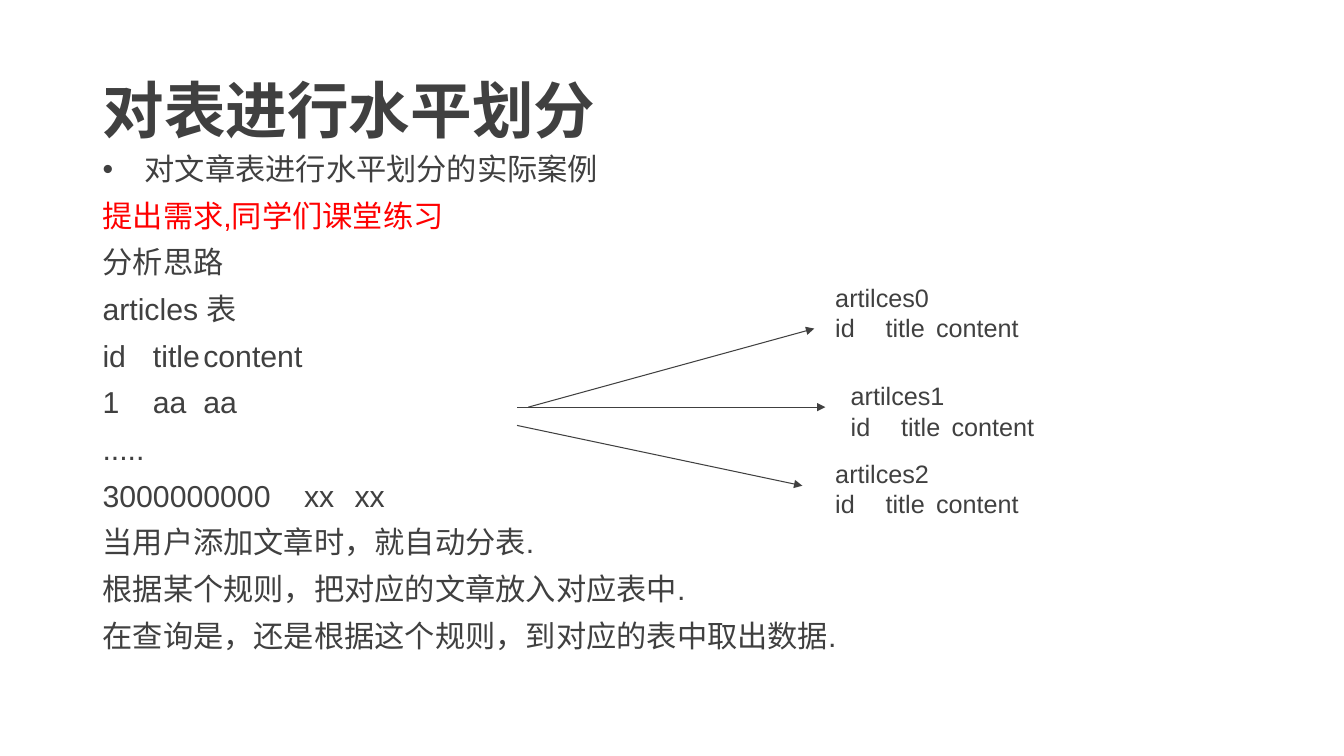
from lxml.etree import SubElement
from pptx import Presentation
from pptx.dml.color import RGBColor
from pptx.enum.shapes import MSO_CONNECTOR
from pptx.enum.text import MSO_ANCHOR, MSO_AUTO_SIZE, PP_ALIGN
from pptx.oxml.ns import qn
from pptx.util import Cm, Pt

DARK = "404040"
RED = "FF0000"
BULLET = "对文章表进行水平划分的实际案例"
BODY_LINES = [
    ("提出需求,同学们课堂练习", RED, []),
    ("分析思路", DARK, []),
    ("articles 表", DARK, []),
    ("id\ttitle\tcontent", DARK, [6.92, 8.54]),
    ("1\taa\taa", DARK, [6.96, 8.66]),
    (".....", DARK, []),
    ("3000000000\txx\txx", DARK, [6.77, 8.38]),
    ("当用户添加文章时，就自动分表.", DARK, []),
    ("根据某个规则，把对应的文章放入对应表中.", DARK, []),
    ("在查询是，还是根据这个规则，到对应的表中取出数据.", DARK, []),
]
SPLIT_TABLES = [(20.8, 6.99), (21.19, 9.47), (20.8, 11.43)]
ARROWS = [
    (13.31, 10.26, 20.52, 8.28),
    (13.03, 10.26, 20.8, 10.26),
    (13.03, 10.72, 20.22, 12.24),
]


def color(value):
    return RGBColor.from_string(value)


def place(shape, left, top, width, height):
    shape.left, shape.top = Cm(left), Cm(top)
    shape.width, shape.height = Cm(width), Cm(height)


def style(para, size, value=DARK, bold=False):
    para.alignment = PP_ALIGN.LEFT
    para.font.name = "Arial"
    para.font.size = Pt(size)
    para.font.bold = bold
    para.font.color.rgb = color(value)


def set_indent(para, hanging, bullet=False, tabs=()):
    properties = para._p.get_or_add_pPr()
    properties.set("marL", str(Cm(hanging)))
    properties.set("indent", str(-Cm(hanging)))
    if bullet:
        SubElement(properties, qn("a:buChar"), char="•")
    else:
        SubElement(properties, qn("a:buNone"))
    if tabs:
        tab_list = SubElement(properties, qn("a:tabLst"))
        for position in tabs:
            SubElement(tab_list, qn("a:tab"), pos=str(Cm(position)), algn="l")


def add_line(frame, index, text):
    para = frame.add_paragraph() if index else frame.paragraphs[0]
    para.text = text
    return para


def fill_title(title):
    place(title, 2.33, 1.01, 29.21, 3.68)
    frame = title.text_frame
    frame.auto_size = MSO_AUTO_SIZE.NONE
    frame.vertical_anchor = MSO_ANCHOR.MIDDLE
    para = add_line(frame, 0, "对表进行水平划分")
    para.line_spacing = 0.9
    style(para, 44, bold=True)


def fill_body(body):
    place(body, 2.33, 3.76, 29.21, 13.41)
    frame = body.text_frame
    frame.auto_size = MSO_AUTO_SIZE.NONE
    for index, (text, value, tabs) in enumerate([(BULLET, DARK, [])] + BODY_LINES):
        para = add_line(frame, index, text)
        first = index == 0
        set_indent(para, 1.06 if first else 0, first, tabs)
        para.line_spacing = 0.9
        para.space_before = Pt(10)
        style(para, 21.6, value)


def add_split_table(page, number, left, top):
    box = page.shapes.add_textbox(Cm(left), Cm(top), Cm(5.64), Cm(1.96))
    frame = box.text_frame
    frame.word_wrap = True
    for index, text in enumerate([f"artilces{number}", "id\ttitle\tcontent"]):
        para = add_line(frame, index, text)
        set_indent(para, 0, tabs=[1.2, 2.54])
        style(para, 18)


def add_arrow(page, *ends):
    arrow = page.shapes.add_connector(MSO_CONNECTOR.STRAIGHT, *map(Cm, ends))
    arrow.line.color.rgb = color(DARK)
    arrow.line.width = Pt(0.75)
    SubElement(arrow.line._get_or_add_ln(), qn("a:tailEnd"), type="triangle")
    SubElement(arrow._element.spPr, qn("a:effectLst"))


def main():
    """Build the slide about splitting a table horizontally."""
    deck = Presentation()
    deck.slide_width, deck.slide_height = Cm(33.87), Cm(19.05)
    page = deck.slides.add_slide(deck.slide_layouts[1])
    fill_title(page.shapes.title)
    fill_body(page.placeholders[1])
    for number, (left, top) in enumerate(SPLIT_TABLES):
        add_split_table(page, number, left, top)
    for ends in ARROWS:
        add_arrow(page, *ends)
    deck.save("out.pptx")


if __name__ == "__main__":
    main()
